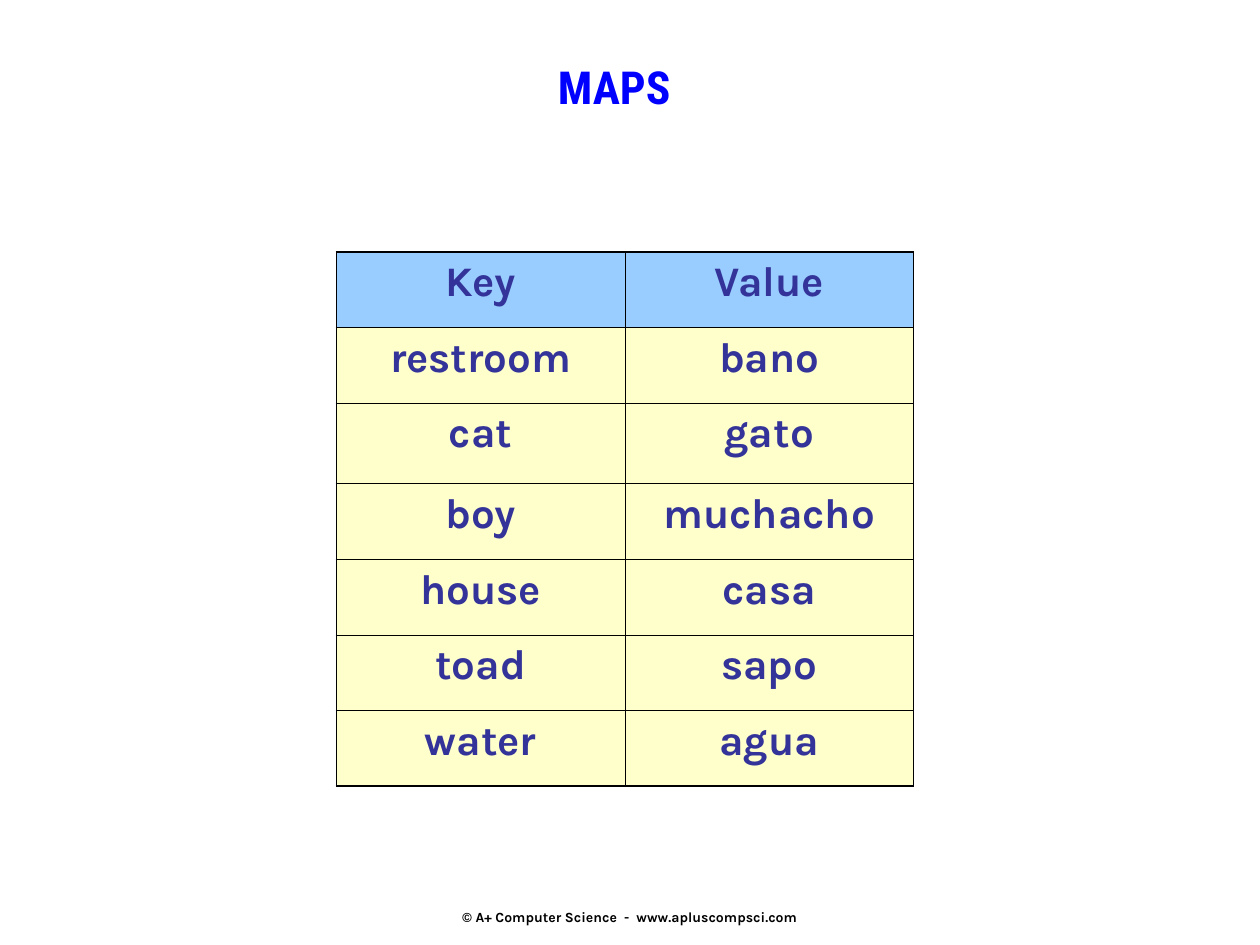
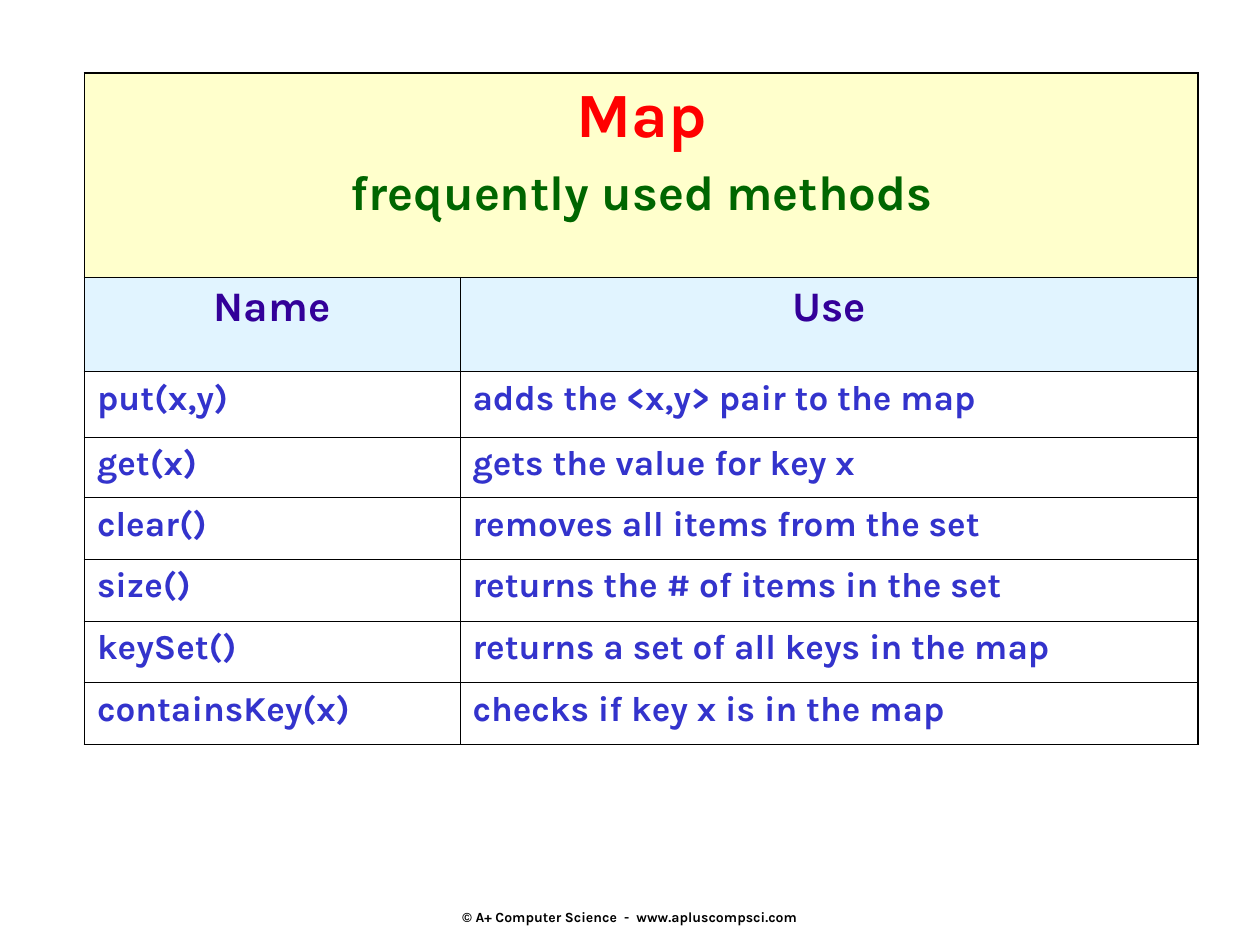
"""Build two slides on maps: a key/value table and a table of map methods."""
from dataclasses import dataclass
from typing import Optional

from lxml import etree
from pptx import Presentation
from pptx.dml.color import RGBColor
from pptx.enum import text
from pptx.oxml import ns
from pptx.util import Inches, Pt

CENTER = text.PP_ALIGN.CENTER
LEFT = text.PP_ALIGN.LEFT


@dataclass(frozen=True)
class Style:
    size: int
    color: str
    font: str = "Karla"
    align: text.PP_ALIGN = CENTER
    before: int = 0


@dataclass(frozen=True)
class Fill:
    color: str
    alpha: int = 100


@dataclass(frozen=True)
class Theme:
    title: Style = Style(26, "0000FF", "Roboto Condensed")
    footer: Style = Style(8, "000000")
    pair: Style = Style(24, "333399")
    banner: Style = Style(36, "FF0000")
    subtitle: Style = Style(28, "006600", before=7)
    heading: Style = Style(24, "330099")
    method: Style = Style(20, "3333CC", align=LEFT)
    key_fill: Fill = Fill("99CCFF", 50)
    pair_fill: Fill = Fill("FFFFCC", 50)
    banner_fill: Fill = Fill("FFFFCC")
    heading_fill: Fill = Fill("E1F4FF", 50)
    border: str = "000000"
    inner: float = 0.45
    outer: float = 1.08


@dataclass(frozen=True)
class Row:
    height: float
    cells: tuple[str, ...]
    styles: tuple[Style, ...]
    fill: Optional[Fill] = None


THEME = Theme()
FOOTER = "© A+ Computer Science  -  www.apluscompsci.com"
PAIRS = [
    ("restroom", "bano"),
    ("cat", "gato"),
    ("boy", "muchacho"),
    ("house", "casa"),
    ("toad", "sapo"),
    ("water", "agua"),
]
METHODS = [
    ("put(x,y)", "adds the <x,y> pair to the map"),
    ("get(x)", "gets the value for key x"),
    ("clear()", "removes all items from the set"),
    ("size()", "returns the # of items in the set"),
    ("keySet()", "returns a set of all keys in the map"),
    ("containsKey(x)", "checks if key x is in the map"),
]


def write(tf, words: str, styles: tuple[Style, ...]) -> None:
    """Write one paragraph per line, each in its own style."""
    tf.text = words
    for p, style in zip(tf.paragraphs, styles):
        p.alignment = style.align
        if style.before:
            p.space_before = Pt(style.before)
        p.font.name, p.font.size, p.font.bold = style.font, Pt(style.size), True
        p.font.color.rgb = RGBColor.from_string(style.color)


def fill_cell(cell, fill: Optional[Fill]) -> None:
    """Fill a cell with a colour, or leave it clear."""
    if fill is None:
        cell.fill.background()
        return
    cell.fill.solid()
    cell.fill.fore_color.rgb = RGBColor.from_string(fill.color)
    if fill.alpha < 100:
        clr = cell.fill._xPr.find(".//" + ns.qn("a:srgbClr"))
        etree.SubElement(clr, ns.qn("a:alpha"), val=str(fill.alpha * 1000))


def add_borders(cell, edges: dict[str, bool]) -> None:
    """Draw the four borders, heavier on the table's outer edges."""
    tc_pr = cell._tc.get_or_add_tcPr()
    for side, is_outer in edges.items():
        width = Pt(THEME.outer if is_outer else THEME.inner)
        ln = etree.SubElement(tc_pr, ns.qn(f"a:ln{side}"), w=str(width))
        solid = etree.SubElement(ln, ns.qn("a:solidFill"))
        etree.SubElement(solid, ns.qn("a:srgbClr"), val=THEME.border)


def add_grid(s, left: float, top: float, widths: list[float], rows: list[Row]) -> None:
    """Add a bordered table; a row with a single cell spans all columns."""
    height = sum(row.height for row in rows)
    table = s.shapes.add_table(len(rows), len(widths), Inches(left), Inches(top),
                               Inches(sum(widths)), Inches(height)).table
    table.first_row = table.horz_banding = False
    for column, width in zip(table.columns, widths):
        column.width = Inches(width)
    last_row, last_col = len(rows) - 1, len(widths) - 1
    for i, row in enumerate(rows):
        table.rows[i].height = Inches(row.height)
        spans = len(row.cells) == 1
        for j in range(len(widths)):
            cell = table.cell(i, j)
            add_borders(cell, {"L": j == 0, "R": spans or j == last_col,
                               "T": i == 0, "B": i == last_row})
            fill_cell(cell, row.fill)
        if spans:
            table.cell(i, 0).merge(table.cell(i, last_col))
        for j, words in enumerate(row.cells):
            write(table.cell(i, j).text_frame, words, row.styles)


def add_footer(s) -> None:
    """Add the copyright line at the foot of the slide."""
    tf = s.shapes.add_textbox(Inches(3), Inches(7.13), Inches(4), Inches(0.3)).text_frame
    tf.word_wrap = True
    tf.vertical_anchor = text.MSO_ANCHOR.MIDDLE
    write(tf, FOOTER, (THEME.footer,))


def add_title(s, words: str) -> None:
    """Place and format the title placeholder."""
    sp = s.shapes.title
    sp.left, sp.top, sp.width, sp.height = map(Inches, (2, 0.42, 5.75, 0.83))
    tf = sp.text_frame
    tf.auto_size = text.MSO_AUTO_SIZE.NONE
    tf.vertical_anchor = text.MSO_ANCHOR.TOP
    write(tf, words, (THEME.title,))


def build_maps(prs) -> None:
    """Build the key and value slide."""
    s = prs.slides.add_slide(prs.slide_layouts[5])
    add_footer(s)
    rows = [Row(0.6, ("Key", "Value"), (THEME.pair,), THEME.key_fill)]
    rows += [Row(0.64 if pair[0] == "cat" else 0.6, pair, (THEME.pair,), THEME.pair_fill)
             for pair in PAIRS]
    add_grid(s, 2.67, 2, [2.29, 2.29], rows)
    add_title(s, "MAPS")


def build_methods(prs) -> None:
    """Build the slide of frequently used methods."""
    s = prs.slides.add_slide(prs.slide_layouts[6])
    add_footer(s)
    rows = [
        Row(1.62, ("Map\nfrequently used methods",), (THEME.banner, THEME.subtitle),
            THEME.banner_fill),
        Row(0.75, ("Name", "Use"), (THEME.heading,), THEME.heading_fill),
    ]
    heights = [0.52, 0.48] + [0.49] * 4
    rows += [Row(height, method, (THEME.method,))
             for height, method in zip(heights, METHODS)]
    add_grid(s, 0.67, 0.58, [2.98, 5.86], rows)


def main() -> None:
    """Build and save the presentation."""
    prs = Presentation()
    prs.slide_width, prs.slide_height = Inches(10), Inches(7.5)
    build_maps(prs)
    build_methods(prs)
    prs.save("out.pptx")


if __name__ == "__main__":
    main()
